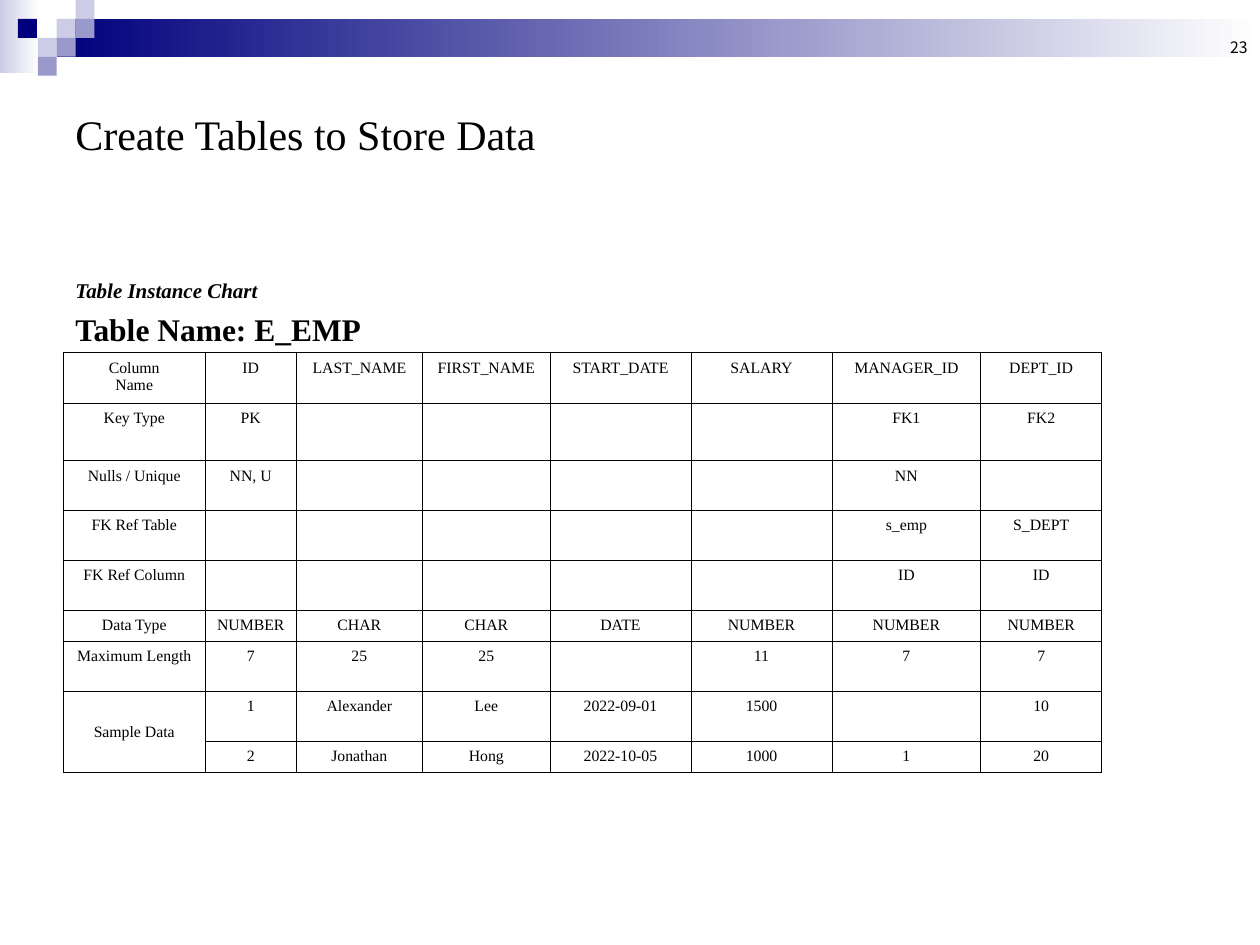
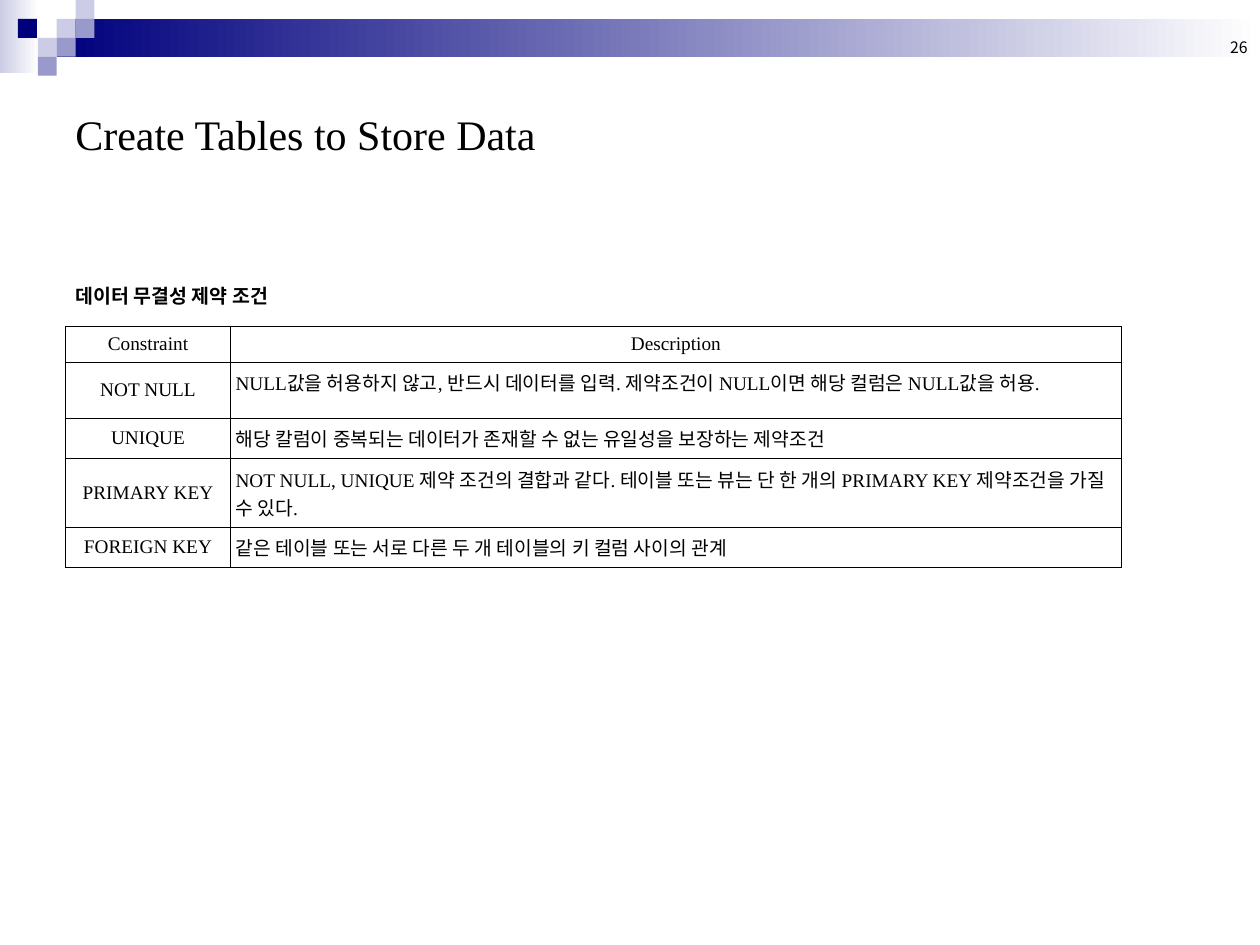
from dataclasses import dataclass

import pptx
import pptx.dml.color
import pptx.enum.shapes
import pptx.enum.text
import pptx.oxml
import pptx.oxml.ns
import pptx.util
from lxml import etree

ALIGN = pptx.enum.text.PP_ALIGN
ANCHOR = pptx.enum.text.MSO_ANCHOR


@dataclass(frozen=True)
class Theme:
    navy: str = "00007D"
    violet: str = "9999CC"
    lilac: str = "CCCCE6"
    white: str = "FFFFFF"
    ink: str = "000000"
    serif: str = "Times New Roman"
    sans: str = "Noto Sans CJK KR"
    title: float = 24
    table_name: float = 18
    caption: float = 12
    korean_caption: float = 11.1
    constraint: float = 11
    small: float = 9
    border: float = 0.45


THEME = Theme()
COLUMNS, ROWS = 200, 150
CELL = 0.05
TILE = 3
TITLE = "Create Tables to Store Data"

TILES = [
    (3, 1, THEME.lilac), (4, 0, THEME.lilac), (4, 1, THEME.violet),
    (2, 2, THEME.lilac), (0.95, 1, THEME.navy), (3, 2, THEME.violet),
    (2, 3, THEME.violet),
]

EMP_COLUMNS = [22.6, 14.4, 20.1, 20.2, 22.4, 22.4, 23.6, 19.2]
EMP_ROWS = [7.6, 9.1, 7.9, 7.9, 7.9, 4.8, 7.9, 7.9, 4.8]
EMP_DATA = [
    ["Column\nName", "ID", "LAST_NAME", "FIRST_NAME", "START_DATE", "SALARY",
     "MANAGER_ID", "DEPT_ID"],
    ["Key Type", "PK", "", "", "", "", "FK1", "FK2"],
    ["Nulls / Unique", "NN, U", "", "", "", "", "NN", ""],
    ["FK Ref Table", "", "", "", "", "", "s_emp", "S_DEPT"],
    ["FK Ref Column", "", "", "", "", "", "ID", "ID"],
    ["Data Type", "NUMBER", "CHAR", "CHAR", "DATE", "NUMBER", "NUMBER", "NUMBER"],
    ["Maximum Length", "7", "25", "25", "", "11", "7", "7"],
    ["Sample Data", "1", "Alexander", "Lee", "2022-09-01", "1500", "", "10"],
    ["", "2", "Jonathan", "Hong", "2022-10-05", "1000", "1", "20"],
]

CONSTRAINT_COLUMNS = [26.2, 141.4]
CONSTRAINT_ROWS = [5.5, 8.9, 6.4, 10.9, 6.4]
CONSTRAINT_DATA = [
    ["Constraint", "Description"],
    ["NOT NULL", "NULL값을 허용하지 않고, 반드시 데이터를 입력. 제약조건이 NULL이면 해당 컬럼은 NULL값을 허용."],
    ["UNIQUE", "해당 칼럼이 중복되는 데이터가 존재할 수 없는 유일성을 보장하는 제약조건"],
    ["PRIMARY KEY", "NOT NULL, UNIQUE 제약 조건의 결합과 같다. 테이블 또는 뷰는 단 한 개의 PRIMARY KEY 제약조건을 가질 수 있다."],
    ["FOREIGN KEY", "같은 테이블 또는 서로 다른 두 개 테이블의 키 컬럼 사이의 관계"],
]


def units(n):
    return pptx.util.Inches(n * CELL)


def rgb(color):
    return pptx.dml.color.RGBColor.from_string(color)


def style_paragraph(p, size, font=THEME.serif, bold=False, italic=False,
                    align=ALIGN.LEFT):
    p.alignment = align
    p.font.size = pptx.util.Pt(size)
    p.font.name = font
    p.font.bold = bold
    p.font.italic = italic
    p.font.color.rgb = rgb(THEME.ink)
    props = p._p.get_or_add_pPr().find(pptx.oxml.ns.qn("a:defRPr"))
    etree.SubElement(props, pptx.oxml.ns.qn("a:ea"), typeface=THEME.sans)


def add_text(slide, text, box, size, anchor=ANCHOR.TOP, **style):
    tf = slide.shapes.add_textbox(*map(units, box)).text_frame
    tf.word_wrap = True
    tf.vertical_anchor = anchor
    p = tf.paragraphs[0]
    p.text = text
    style_paragraph(p, size, **style)
    return tf


def add_block(slide, box, *colors):
    sp = slide.shapes.add_shape(
        pptx.enum.shapes.MSO_SHAPE.RECTANGLE, *map(units, box))
    sp.shadow.inherit = False
    sp.line.fill.background()
    if len(colors) == 1:
        sp.fill.solid()
        sp.fill.fore_color.rgb = rgb(colors[0])
    else:
        sp.fill.gradient()
        sp.fill.gradient_angle = 0
        for stop, color in zip(sp.fill.gradient_stops, colors):
            stop.color.rgb = rgb(color)


def add_header(slide, number):
    add_block(slide, (0, 0, 6.2, 11.6), THEME.lilac, THEME.white)
    add_block(slide, (3 * TILE, TILE, COLUMNS - 3 * TILE, 2 * TILE),
              THEME.navy, THEME.white)
    for column, row, color in TILES:
        add_block(slide, (column * TILE, row * TILE, TILE, TILE), color)
    add_text(slide, str(number), (153.4, 0, 46.6, 10), THEME.small,
             ANCHOR.BOTTOM, font=THEME.sans, align=ALIGN.RIGHT)
    add_text(slide, TITLE, (10, 10, 180, 22.4), THEME.title, ANCHOR.MIDDLE)


def add_borders(cell):
    tc_pr = cell._tc.get_or_add_tcPr()
    for side in "LRTB":
        tc_pr.append(pptx.oxml.parse_xml(
            f'<a:ln{side} {pptx.oxml.ns.nsdecls("a")} '
            f'w="{pptx.util.Pt(THEME.border)}"><a:solidFill>'
            f'<a:srgbClr val="{THEME.ink}"/></a:solidFill></a:ln{side}>'))


def style_cell(cell, text, size, anchor, align, inset):
    cell.text = text
    cell.vertical_anchor = anchor
    cell.margin_left = cell.margin_right = units(inset)
    cell.margin_top = cell.margin_bottom = units(1)
    add_borders(cell)
    cell.fill.background()
    for p in cell.text_frame.paragraphs:
        style_paragraph(p, size, align=align)


def add_grid(slide, left, top, columns, rows, data, size, cell_layout):
    table = slide.shapes.add_table(
        len(rows), len(columns), units(left), units(top),
        units(sum(columns)), units(sum(rows))).table
    table.first_row = table.horz_banding = False
    for column, width in zip(table.columns, columns):
        column.width = units(width)
    for row, height in zip(table.rows, rows):
        row.height = units(height)
    for i, values in enumerate(data):
        for j, text in enumerate(values):
            style_cell(table.cell(i, j), text, size, *cell_layout(i, j))
    return table


def centred_top(i, j):
    return ANCHOR.TOP, ALIGN.CENTER, 1.4


def description_left(i, j):
    if i and j:
        return ANCHOR.TOP, ALIGN.LEFT, 0.8
    return ANCHOR.MIDDLE, ALIGN.CENTER, 1.4


def build_instance_chart(slide):
    add_header(slide, 23)
    tf = add_text(slide, "Table Instance Chart", (10, 43, 133.8, 13.2),
                  THEME.caption, bold=True, italic=True)
    p = tf.add_paragraph()
    p.text = "Table Name: E_EMP"
    p.space_before = pptx.util.Pt(4.5)
    style_paragraph(p, THEME.table_name, bold=True)
    table = add_grid(slide, 10, 56, EMP_COLUMNS, EMP_ROWS, EMP_DATA,
                     THEME.small, centred_top)
    sample = table.cell(7, 0)
    sample.merge(table.cell(8, 0))
    sample.text_frame.paragraphs[0].line_spacing = 2.5


def build_constraints(slide):
    add_header(slide, 26)
    tf = add_text(slide, "데이터 무결성 제약 조건", (10, 44.6, 153.8, 6),
                  THEME.korean_caption, bold=True)
    tf.paragraphs[0].line_spacing = 0.9
    add_grid(slide, 10.4, 51.8, CONSTRAINT_COLUMNS, CONSTRAINT_ROWS,
             CONSTRAINT_DATA, THEME.constraint, description_left)


def main():
    prs = pptx.Presentation()
    prs.slide_width, prs.slide_height = units(COLUMNS), units(ROWS)
    for build in (build_instance_chart, build_constraints):
        build(prs.slides.add_slide(prs.slide_layouts[6]))
    prs.save("out.pptx")


if __name__ == "__main__":
    main()
